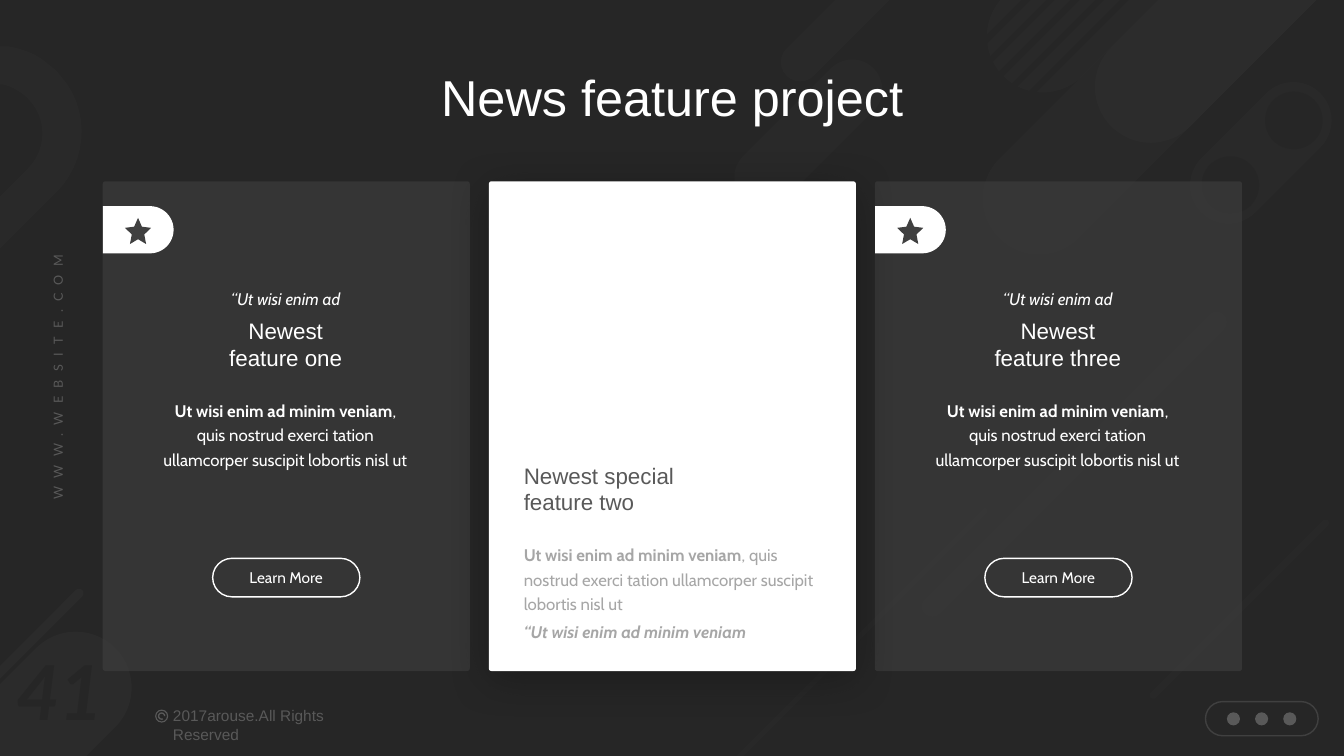
from lxml import etree
from pptx import Presentation
from pptx.dml.color import RGBColor
from pptx.enum.shapes import MSO_SHAPE
from pptx.enum.text import MSO_ANCHOR, PP_ALIGN
from pptx.oxml.ns import qn
from pptx.util import Cm, Pt

WHITE, DARK, CHARCOAL, GREY, SILVER = "FFFFFF", "262626", "404040", "595959", "A6A6A6"

presentation = Presentation()
presentation.slide_width, presentation.slide_height = Cm(33.87), Cm(19.05)
slide = presentation.slides.add_slide(presentation.slide_layouts[6])
slide.background.fill.solid()
slide.background.fill.fore_color.rgb = RGBColor.from_string(DARK)


def style_shape(shape, fill=None, opacity=100, line=None, rotation=0, adjustments=()):
    shape.shadow.inherit = False
    shape.rotation = rotation
    for index, value in enumerate(adjustments):
        shape.adjustments[index] = value
    if fill:
        shape.fill.solid()
        shape.fill.fore_color.rgb = RGBColor.from_string(fill)
        if opacity < 100:
            color = shape.fill._xPr.find(qn("a:solidFill"))[0]
            etree.SubElement(color, qn("a:alpha")).set("val", str(opacity * 1000))
    else:
        shape.fill.background()
    if line:
        shape.line.color.rgb = RGBColor.from_string(line)
        shape.line.width = Pt(1)
    else:
        shape.line.fill.background()
    return shape


def write_text(shape, color, runs, **paragraph_format):
    shape.text_frame.word_wrap = True
    paragraph = shape.text_frame.paragraphs[0]
    for name, value in paragraph_format.items():
        setattr(paragraph, name, value)
    for text, font_format in runs:
        run = paragraph.add_run()
        run.text = text
        run.font.color.rgb = RGBColor.from_string(color)
        for name, value in font_format.items():
            setattr(run.font, name, value)
    return paragraph


shapes = slide.shapes
title_font = {"name": "Arial", "size": Pt(36)}
heading_font = {"name": "Arial", "size": Pt(16)}
footer_font = {"name": "Arial", "size": Pt(11)}
button_font = {"name": "Cabin", "size": Pt(11)}
body_font = {"name": "Cabin", "size": Pt(12)}
website_font = {"name": "Lato", "size": Pt(9)}
number_font = {"name": "Lato", "size": Pt(54), "bold": True, "italic": True}
centered = {"alignment": PP_ALIGN.CENTER}
body_runs = [
    ("Ut wisi enim ad minim veniam", {**body_font, "bold": True}),
    (", quis nostrud exerci tation ullamcorper suscipit lobortis nisl ut", body_font),
]

hook_segments = [
    [(0.2, 1.17)],
    [(0.51, 1.22), (0.81, 1.32), (1.07, 1.5)],
    [(1.42, 1.78)],
    [(1.7, 2.13)],
    [(2.26, 2.97), (2.16, 4.11), (1.42, 4.85)],
    [(0, 6.27)],
    [(0, 4.95)],
    [(0.71, 4.24)],
    [(1.19, 3.76), (1.19, 2.97), (0.71, 2.49)],
    [(0.53, 2.31), (0.3, 2.18), (0.08, 2.13)],
    [(0, 2.13)],
]
hook_points = [(0, 1.17)]
for segment in hook_segments:
    if len(segment) == 1:
        hook_points += segment
        continue
    corners = [hook_points[-1], *segment]
    for step in range(1, 13):
        t = step / 12
        weights = ((1 - t) ** 3, 3 * t * (1 - t) ** 2, 3 * t * t * (1 - t), t ** 3)
        hook_points.append(tuple(
            sum(weight * corner[axis] for weight, corner in zip(weights, corners))
            for axis in (0, 1)
        ))
hook_points = [(Cm(x), Cm(y)) for x, y in hook_points]
hook = shapes.build_freeform(*hook_points[0], scale=1.0)
hook.add_line_segments(hook_points[1:], close=True)
style_shape(hook.convert_to_shape(), CHARCOAL, 15)

stripes = [(24.61 + 0.62 * index, -6.07, 0.15, 14.48, DARK, 100) for index in range(5)]
for left, top, width, height, fill, opacity in [
    (29.29, -7.32, 2.82, 15.6, CHARCOAL, 15),
    (32.11, -10.13, 2.82, 15.6, CHARCOAL, 15),
    (29.39, -11.4, 2.82, 15.6, CHARCOAL, 15),
    (30.81, 1.73, 1.93, 4.24, CHARCOAL, 15),
    (31.88, 2.31, 1.45, 1.45, DARK, 100),
    (30.28, 3.94, 1.45, 1.45, DARK, 100),
    *stripes,
    (-0.15, 15.65, 2.82, 4.65, CHARCOAL, 20),
    (0.71, 14.35, 0.23, 3.53, CHARCOAL, 20),
    (21.06, 11.28, 0.13, 10.59, CHARCOAL, 10),
    (26.82, 6.38, 0.51, 10.64, CHARCOAL, 10),
    (19.61, 1.04, 1.52, 4.65, CHARCOAL, 12),
    (20.98, -2.06, 0.97, 4.65, CHARCOAL, 15),
    (31.14, 12.19, 0.18, 6.32, CHARCOAL, 10),
]:
    capsule = shapes.add_shape(
        MSO_SHAPE.ROUNDED_RECTANGLE, Cm(left), Cm(top), Cm(width), Cm(height))
    style_shape(capsule, fill, opacity, rotation=45, adjustments=[0.5])

page_number = shapes.add_textbox(Cm(0), Cm(16.13), Cm(3.02), Cm(2.5))
write_text(page_number, DARK, [("41", number_font)], **centered)

website = shapes.add_textbox(Cm(-2.21), Cm(9.19), Cm(7.34), Cm(0.64))
website.rotation = 270
website_line = write_text(website, GREY, [("WWW.WEBSITE.COM", website_font)], **centered)
website_line.runs[0]._r.get_or_add_rPr().set("spc", "600")

ring = shapes.add_shape(MSO_SHAPE.DONUT, Cm(3.91), Cm(17.88), Cm(0.33), Cm(0.33))
style_shape(ring, GREY, adjustments=[0.09])
letter_c = shapes.add_shape(MSO_SHAPE.BLOCK_ARC, Cm(3.98), Cm(17.95), Cm(0.19), Cm(0.19))
style_shape(letter_c, GREY, adjustments=[40, -40, 0.18])
rights = shapes.add_textbox(Cm(4.11), Cm(17.68), Cm(5.89), Cm(0.74))
write_text(rights, GREY, [("2017arouse.All Rights Reserved", footer_font)])

social_pill = shapes.add_shape(
    MSO_SHAPE.ROUNDED_RECTANGLE, Cm(30.38), Cm(17.68), Cm(2.84), Cm(0.86))
style_shape(social_pill, line=CHARCOAL, adjustments=[0.5])
for index in range(3):
    social_dot = shapes.add_shape(
        MSO_SHAPE.OVAL, Cm(30.92 + 0.71 * index), Cm(17.95), Cm(0.33), Cm(0.33))
    style_shape(social_dot, GREY)

for left, fill, opacity in [(2.59, CHARCOAL, 60), (22.05, CHARCOAL, 60), (12.32, WHITE, 100)]:
    card = shapes.add_shape(
        MSO_SHAPE.ROUNDED_RECTANGLE, Cm(left), Cm(4.57), Cm(9.25), Cm(12.34))
    style_shape(card, fill, opacity, adjustments=[0.007])

effects = card._element.spPr.find(qn("a:effectLst"))
shadow = etree.SubElement(effects, qn("a:outerShdw"))
for name, value in {"blurRad": Pt(30), "dist": Pt(6), "dir": 5400000, "rotWithShape": 0}.items():
    shadow.set(name, str(int(value)))
shadow_color = etree.SubElement(shadow, qn("a:srgbClr"), val="0D0D0D")
etree.SubElement(shadow_color, qn("a:alpha"), val="40000")

title = shapes.add_textbox(Cm(4.95), Cm(1.55), Cm(23.98), Cm(1.8))
write_text(title, WHITE, [("News feature project", title_font)], **centered)

for card_left, heading in [(2.59, "Newest feature one"), (22.05, "Newest feature three")]:
    tab = shapes.add_shape(
        MSO_SHAPE.ROUND_2_SAME_RECTANGLE, Cm(card_left + 0.3), Cm(4.9), Cm(1.19), Cm(1.78))
    style_shape(tab, WHITE, rotation=90, adjustments=[0.5, 0])
    star = shapes.add_shape(
        MSO_SHAPE.STAR_5_POINT, Cm(card_left + 0.56), Cm(5.49), Cm(0.66), Cm(0.66))
    style_shape(star, CHARCOAL, adjustments=[0.239, 1.051, 1.106])

    for offset, top, width, height, runs, spacing in [
        (2.21, 7.06, 4.8, 0.86, [("“Ut wisi enim ad", {**body_font, "italic": True})], 1.2),
        (2.54, 7.87, 4.14, 1.63, [(heading, heading_font)], 1.0),
        (1.2, 9.88, 6.81, 2.11, body_runs, 1.2),
    ]:
        box = shapes.add_textbox(Cm(card_left + offset), Cm(top), Cm(width), Cm(height))
        write_text(box, WHITE, runs, line_spacing=spacing, **centered)

    button = shapes.add_shape(
        MSO_SHAPE.ROUNDED_RECTANGLE, Cm(card_left + 2.77), Cm(14.07), Cm(3.71), Cm(0.97))
    style_shape(button, line=WHITE, adjustments=[0.5])
    button.text_frame.vertical_anchor = MSO_ANCHOR.MIDDLE
    write_text(button, WHITE, [("Learn More", button_font)], **centered)

quote_font = {**body_font, "bold": True, "italic": True}
for top, width, height, color, runs, spacing in [
    (11.51, 5.89, 1.63, GREY, [("Newest special feature two", heading_font)], 1.0),
    (13.51, 7.98, 2.11, SILVER, body_runs, 1.2),
    (15.44, 7.01, 0.86, SILVER, [("“Ut wisi enim ad minim veniam", quote_font)], 1.2),
]:
    box = shapes.add_textbox(Cm(12.95), Cm(top), Cm(width), Cm(height))
    write_text(box, color, runs, line_spacing=spacing)

presentation.save("out.pptx")
